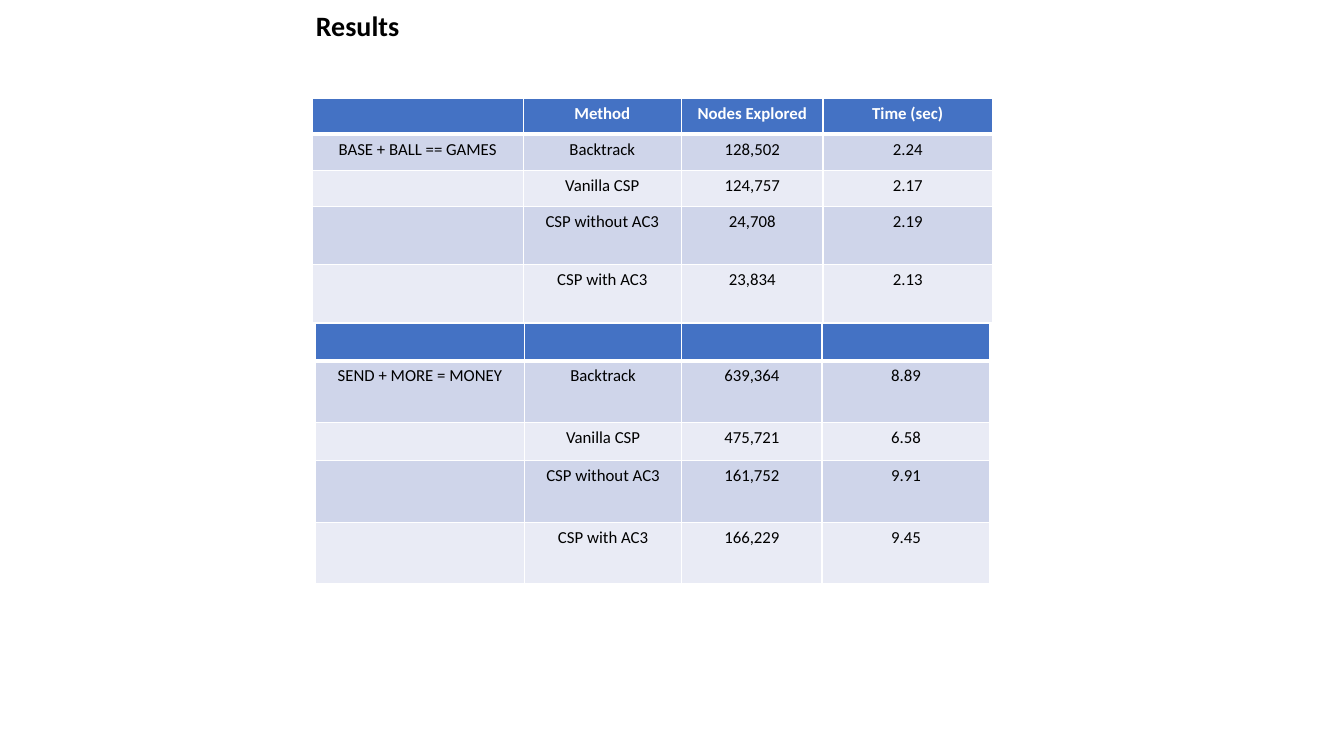
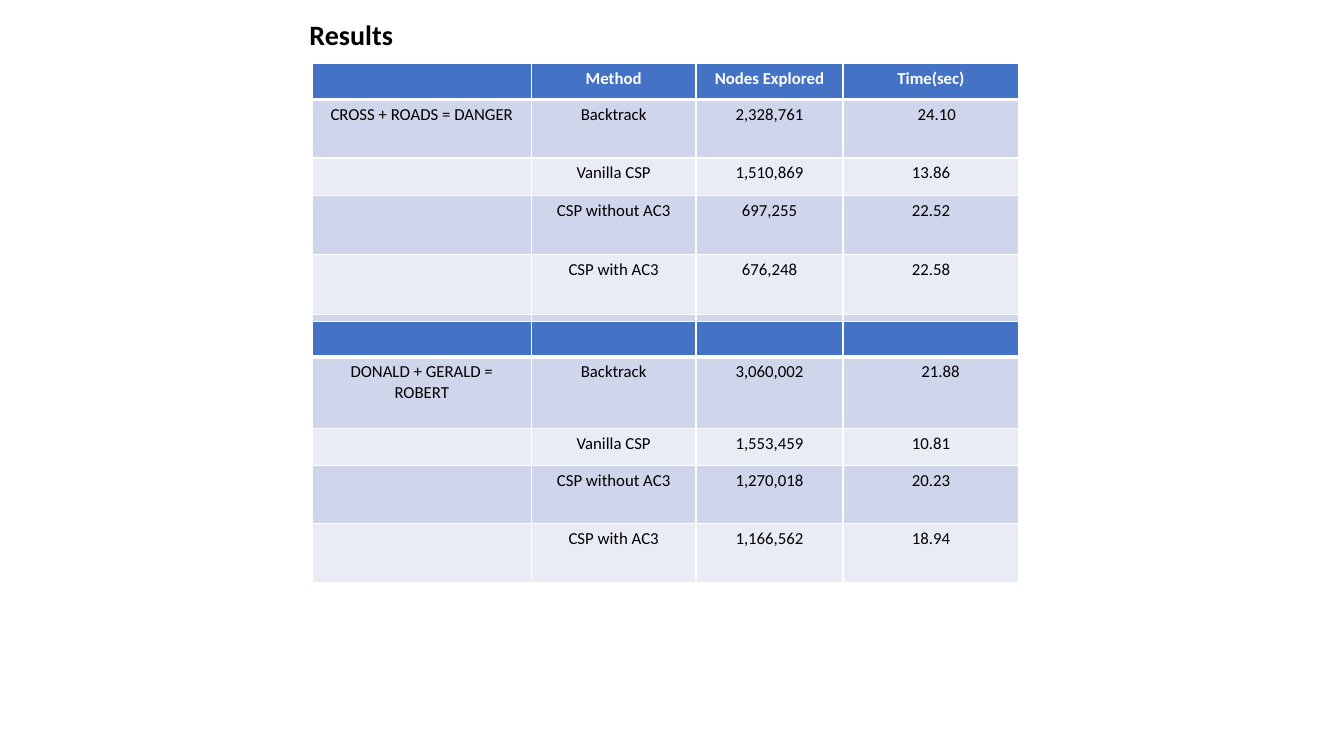
from lxml import etree
from pptx import Presentation
from pptx.dml.color import RGBColor
from pptx.enum.text import MSO_ANCHOR, PP_ALIGN
from pptx.oxml.ns import qn
from pptx.util import Cm, Pt

CENTER, MIDDLE = PP_ALIGN.CENTER, MSO_ANCHOR.MIDDLE

THEME = {
    "font": "Calibri",
    "title": 20, "cell": 12,
    "black": "000000", "white": "FFFFFF",
    "head": "4472C4", "bands": ("CFD5EA", "E9EBF5"),
    "thin": 1, "thick": 3,
}
SHARES = (0.31, 0.233, 0.208, 0.249)
METHODS = ("Backtrack", "Vanilla CSP", "CSP without AC3", "CSP with AC3")
NO_HEAD = ("", "", "", "")

# Lengths in cm; "nudge" is the extra left margin of the first time value.
SLIDES = [
    {"title": ("Results", 7.96, 0.2), "tables": [
        {"at": (7.87, 2.49), "width": 17.14, "rows": (0.89, 0.91, 0.91, 1.47, 1.47),
         "head": ("", "Method", "Nodes Explored", "Time (sec)"),
         "puzzle": "BASE + BALL == GAMES", "nudge": 0, "spare": 0,
         "nodes": ("128,502", "124,757", "24,708", "23,834"),
         "times": ("2.24", "2.17", "2.19", "2.13")},
        {"at": (7.95, 8.15), "width": 17, "rows": (0.94, 1.55, 0.97, 1.55, 1.55),
         "head": NO_HEAD,
         "puzzle": "SEND + MORE = MONEY", "nudge": 0, "spare": 0,
         "nodes": ("639,364", "475,721", "161,752", "166,229"),
         "times": ("8.89", "6.58", "9.91", "9.45")},
    ]},
    {"title": ("Results", 7.8, 0.42), "tables": [
        {"at": (7.87, 1.6), "width": 17.81, "rows": (0.91, 1.47, 0.94, 1.5, 1.5, 0.91),
         "head": ("", "Method", "Nodes Explored", "Time(sec)"),
         "puzzle": "CROSS + ROADS = DANGER", "nudge": 0.29, "spare": 1,
         "nodes": ("2,328,761", "1,510,869", "697,255", "676,248"),
         "times": ("24.10", "13.86", "22.52", "22.58")},
        {"at": (7.87, 8.1), "width": 17.81, "rows": (0.89, 1.8, 0.94, 1.47, 1.47),
         "head": NO_HEAD,
         "puzzle": "DONALD + GERALD = ROBERT", "nudge": 0.48, "spare": 0,
         "nodes": ("3,060,002", "1,553,459", "1,270,018", "1,166,562"),
         "times": ("21.88", "10.81", "20.23", "18.94")},
    ]},
]


def color(name):
    return RGBColor.from_string(name)


def write(para, text, size, ink, bold):
    run = para.add_run()
    run.text = text
    look = {"name": THEME["font"], "size": Pt(size), "bold": bold}
    for key, value in look.items():
        setattr(run.font, key, value)
    run.font.color.rgb = color(ink)


def add_title(slide, text, left, top):
    box = slide.shapes.add_textbox(Cm(left), Cm(top), Cm(17), Cm(0.9))
    frame = box.text_frame
    look = {"word_wrap": True, "vertical_anchor": MIDDLE, "margin_left": 0,
            "margin_right": 0, "margin_top": 0, "margin_bottom": 0}
    for key, value in look.items():
        setattr(frame, key, value)
    write(frame.paragraphs[0], text, THEME["title"], THEME["black"], True)


def add_edges(cell, row):
    """Draw white cell borders, with a thick rule below the header."""
    thin, thick = THEME["thin"], THEME["thick"]
    widths = {"lnL": thin, "lnR": thin,
              "lnT": thick if row == 1 else thin,
              "lnB": thick if row == 0 else thin}
    props = cell._tc.get_or_add_tcPr()
    for tag, width in widths.items():
        line = etree.SubElement(props, qn(f"a:{tag}"), w=str(Pt(width)))
        fill = etree.SubElement(line, qn("a:solidFill"))
        etree.SubElement(fill, qn("a:srgbClr"), val=THEME["white"])


def fill_cell(cell, text, row):
    add_edges(cell, row)
    cell.fill.solid()
    shade = THEME["bands"][(row - 1) % 2] if row else THEME["head"]
    cell.fill.fore_color.rgb = color(shade)
    para = cell.text_frame.paragraphs[0]
    para.alignment = CENTER
    if text:
        ink = THEME["black"] if row else THEME["white"]
        write(para, text, THEME["cell"], ink, row == 0)
    else:
        # An empty cell still needs its type size to keep the row low.
        etree.SubElement(para._p, qn("a:endParaRPr"), sz=str(THEME["cell"] * 100))


def add_grid(slide, data):
    names = (data["puzzle"], "", "", "")
    body = list(zip(names, METHODS, data["nodes"], data["times"]))
    lines = [data["head"]] + body + [NO_HEAD] * data["spare"]
    left, top = data["at"]
    frame = slide.shapes.add_table(len(lines), len(SHARES), Cm(left), Cm(top),
                                   Cm(data["width"]), Cm(sum(data["rows"])))
    table = frame.table
    for col, share in zip(table.columns, SHARES):
        col.width = Cm(data["width"] * share)
    for r, (line, height) in enumerate(zip(lines, data["rows"])):
        table.rows[r].height = Cm(height)
        for c, text in enumerate(line):
            fill_cell(table.cell(r, c), text, r)
    first = table.cell(1, len(SHARES) - 1)
    first.margin_left += Cm(data["nudge"])


def main():
    deck = Presentation()
    deck.slide_width, deck.slide_height = Cm(33.87), Cm(19.05)
    blank = deck.slide_layouts[6]
    for page in SLIDES:
        slide = deck.slides.add_slide(blank)
        add_title(slide, *page["title"])
        for data in page["tables"]:
            add_grid(slide, data)
    deck.save("out.pptx")


if __name__ == "__main__":
    main()
